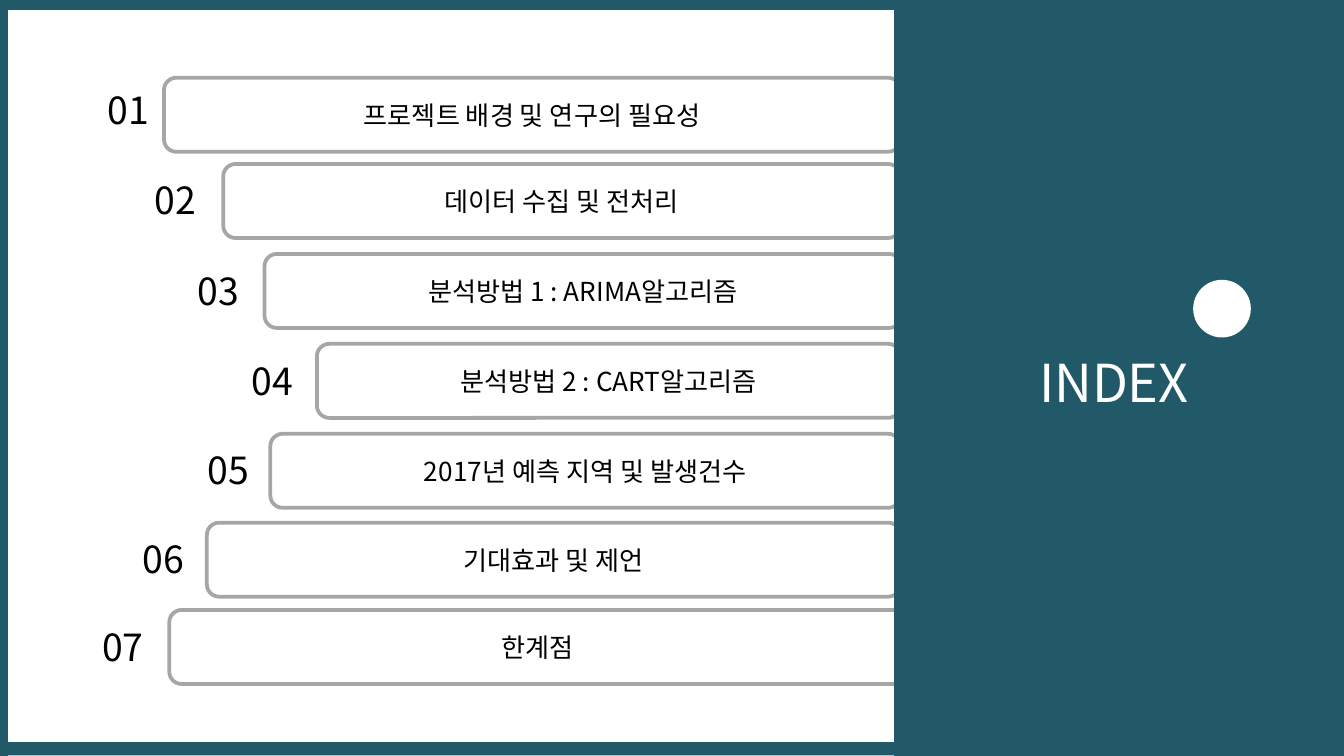
from lxml.etree import SubElement
from pptx import Presentation
from pptx.dml.color import RGBColor as RGB
from pptx.enum.shapes import MSO_SHAPE as SHAPE
from pptx.enum.text import MSO_ANCHOR as ANCHOR, MSO_AUTO_SIZE as FIT, PP_ALIGN as ALIGN
from pptx.oxml.ns import qn
from pptx.util import Cm, Pt

COLORS = {"teal": "215968", "gray": "A6A6A6", "black": "000000", "white": "FFFFFF"}
FONT = "Noto Sans CJK KR"
BAR_HEIGHT = 1.4

FRAME = [
    (-0.1, 0, 0.25, 14.29),
    (25.15, 0, 0.25, 14.29),
    (-0.11, 14.03, 25.32, 0.25),
    (-0.11, -0.06, 25.32, 0.25),
]

# text, bar left, bar top, bar right, number left, number top
ITEMS = [
    ("프로젝트 배경 및 연구의 필요성", 3.1, 1.47, 17.02, 1.78, 1.52),
    ("데이터 수집 및 전처리", 4.22, 3.1, 17.02, 2.67, 3.23),
    ("분석방법 1 : ARIMA알고리즘", 5, 4.8, 17.04, 3.48, 4.95),
    ("분석방법 2 : CART알고리즘", 5.99, 6.5, 17.02, 4.5, 6.65),
    ("2017년 예측 지역 및 발생건수", 5.11, 8.2, 17.02, 3.68, 8.33),
    ("기대효과 및 제언", 3.91, 9.88, 17.02, 2.44, 10.01),
    ("한계점", 3.2, 11.53, 17.12, 1.68, 11.68),
]


class IndexSlide:
    def __init__(self, prs):
        self.s = prs.slides.add_slide(prs.slide_layouts[5])

    def color(self, name):
        return RGB.from_string(COLORS[name])

    def put_text(self, sp, text, size, color, align):
        tf = sp.text_frame
        tf.text = text
        p = tf.paragraphs[0]
        p.alignment = align
        for r in p.runs:
            r.font.size = Pt(size)
            r.font.name = FONT
            r.font.color.rgb = self.color(color)
        for props in sp.element.iter(qn("a:rPr")):
            SubElement(props, qn("a:ea"), typeface=FONT)

    def block(self, kind, left, top, width, height, fill):
        sp = self.s.shapes.add_shape(kind, Cm(left), Cm(top), Cm(width), Cm(height))
        sp.shadow.inherit = False
        sp.fill.solid()
        sp.fill.fore_color.rgb = self.color(fill)
        sp.line.fill.background()
        return sp

    def bar(self, text, left, top, right):
        sp = self.block(SHAPE.ROUNDED_RECTANGLE, left, top, right - left, BAR_HEIGHT, "white")
        sp.fill.background()
        sp.line.color.rgb = self.color("gray")
        sp.line.width = Pt(2)
        sp.text_frame.vertical_anchor = ANCHOR.MIDDLE
        self.put_text(sp, text, 14, "black", ALIGN.CENTER)

    def number(self, text, left, top):
        sp = self.s.shapes.add_textbox(Cm(left), Cm(top), Cm(1.5), Cm(1.12))
        sp.text_frame.word_wrap = True
        self.put_text(sp, text, 20, "black", ALIGN.LEFT)

    def title_panel(self, text, left, top, width, height):
        sp = self.s.shapes.title
        sp.left, sp.top, sp.width, sp.height = Cm(left), Cm(top), Cm(width), Cm(height)
        sp.fill.solid()
        sp.fill.fore_color.rgb = self.color("teal")
        sp.text_frame.auto_size = FIT.NONE
        sp.text_frame.vertical_anchor = ANCHOR.MIDDLE
        self.put_text(sp, text, 28, "white", ALIGN.CENTER)
        sp.element.getparent().append(sp.element)


def main():
    prs = Presentation()
    prs.slide_width, prs.slide_height = Cm(25.4), Cm(14.29)
    slide = IndexSlide(prs)
    for box in FRAME:
        slide.block(SHAPE.RECTANGLE, *box, "teal")
    for i, (text, left, top, right, num_left, num_top) in enumerate(ITEMS, 1):
        slide.number(f"{i:02}", num_left, num_top)
        slide.bar(text, left, top, right)
    slide.title_panel("INDEX", 16.9, 0.13, 8.3, 14.16)
    slide.block(SHAPE.OVAL, 22.55, 5.29, 1.09, 1.09, "white")
    prs.save("out.pptx")


if __name__ == "__main__":
    main()
